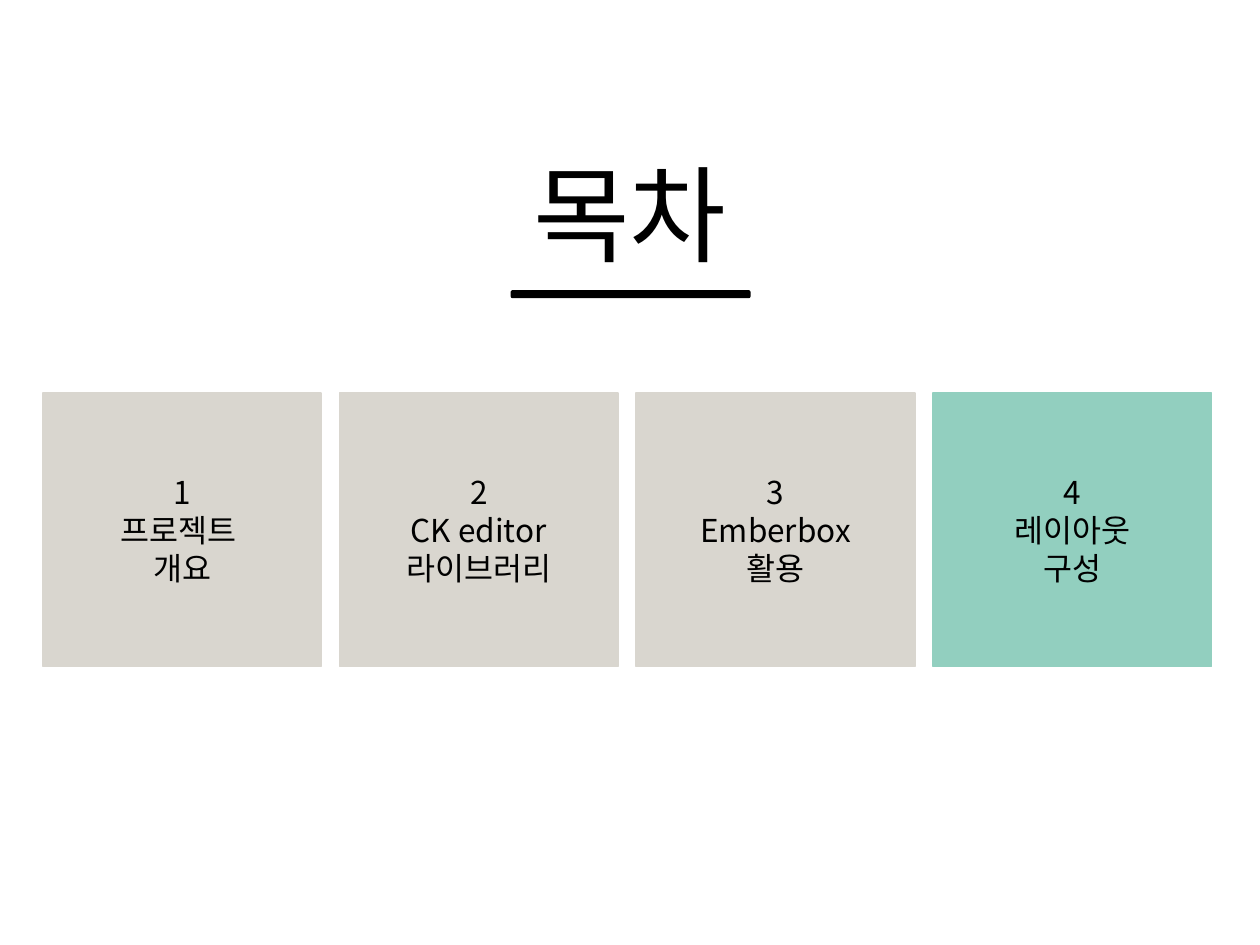
import pptx
import pptx.dml.color
import pptx.enum.shapes
import pptx.enum.text
import pptx.oxml.ns
import pptx.util
from dataclasses import dataclass
from lxml import etree


@dataclass(frozen=True)
class Theme:
    """Colours, font and type sizes of the slide."""
    ink: str = "000000"
    card: str = "D9D6CF"
    current: str = "92CFBF"
    font: str = "Noto Sans CJK KR"
    heading: int = 60
    body: int = 18


theme = Theme()
Inches = pptx.util.Inches
SHAPES = pptx.enum.shapes.MSO_SHAPE
ANCHOR = pptx.enum.text.MSO_ANCHOR


def write(frame, lines, size, anchor):
    """Fill a text frame with centred lines in the theme font."""
    frame.word_wrap = True
    frame.vertical_anchor = anchor
    frame.text = "\n".join(lines)
    for paragraph in frame.paragraphs:
        paragraph.alignment = pptx.enum.text.PP_ALIGN.CENTER
        font = paragraph.font
        font.name = theme.font
        font.size = pptx.util.Pt(size)
        font.color.rgb = pptx.dml.color.RGBColor.from_string(theme.ink)
        east_asian = etree.SubElement(font._element, pptx.oxml.ns.qn("a:ea"))
        east_asian.set("typeface", theme.font)


def add_block(kind, left, top, width, height, color):
    """Add a flat shape whose outline matches its fill."""
    block = slide.shapes.add_shape(
        kind, Inches(left), Inches(top), Inches(width), Inches(height))
    block.shadow.inherit = False
    rgb = pptx.dml.color.RGBColor.from_string(color)
    block.fill.solid()
    block.fill.fore_color.rgb = rgb
    block.line.color.rgb = rgb
    block.line.width = pptx.util.Pt(1)
    return block


deck = pptx.Presentation()
deck.slide_width, deck.slide_height = Inches(10), Inches(7.5)
slide = deck.slides.add_slide(deck.slide_layouts[6])

heading = slide.shapes.add_textbox(
    Inches(0.75), Inches(1.23), Inches(8.5), Inches(1.02))
write(heading.text_frame, ["목차"], theme.heading, ANCHOR.BOTTOM)
heading.text_frame.paragraphs[0].line_spacing = 0.9

add_block(SHAPES.ROUNDED_RECTANGLE, 4.06, 2.31, 1.89, 0.05, theme.ink)

chapters = [
    ("프로젝트 ", "개요"),
    ("CK editor", "라이브러리"),
    ("Emberbox", "활용"),
    ("레이아웃", "구성"),
]
first_left, column_step = 0.34, 2.355
for number, chapter in enumerate(chapters, start=1):
    color = theme.current if number == len(chapters) else theme.card
    left = first_left + (number - 1) * column_step
    card = add_block(SHAPES.RECTANGLE, left, 3.12, 2.21, 2.17, color)
    write(card.text_frame, [str(number), *chapter], theme.body, ANCHOR.MIDDLE)

deck.save("out.pptx")
